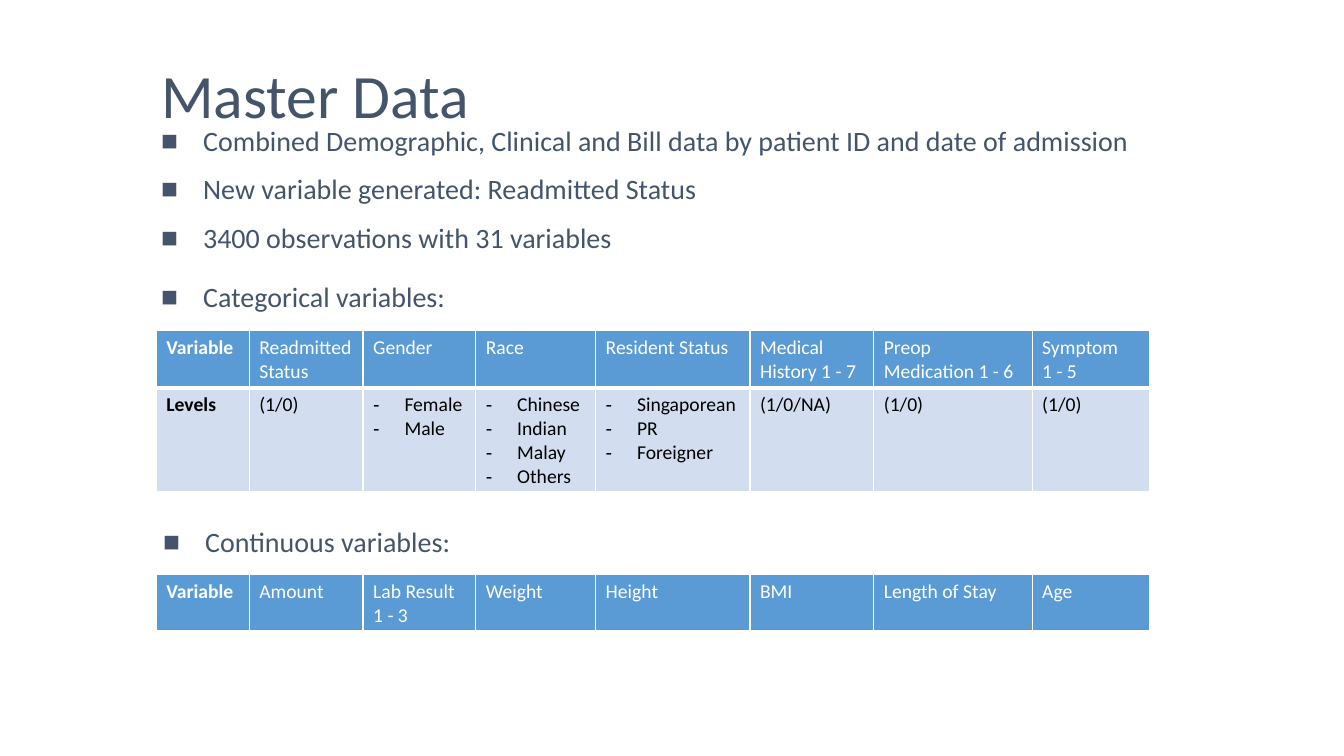
from lxml.etree import SubElement
from pptx import Presentation
from pptx.dml.color import RGBColor
from pptx.enum.text import MSO_ANCHOR, PP_ALIGN
from pptx.oxml import parse_xml
from pptx.oxml.ns import nsdecls, qn
from pptx.util import Cm, Pt

FONT = "Calibri"
SLATE = RGBColor(0x44, 0x54, 0x6A)
BLUE = RGBColor(0x5B, 0x9B, 0xD5)
PALE_BLUE = RGBColor(0xD2, 0xDE, 0xEF)
WHITE = RGBColor(0xFF, 0xFF, 0xFF)
BLACK = RGBColor(0x00, 0x00, 0x00)

COLUMN_WIDTHS = [2.34, 2.87, 2.84, 3.02, 3.89, 3.12, 3.99, 2.97]
HEADER_HEIGHT = 1.44
LEVELS_HEIGHT = 2.62

STATEMENTS = [
    "Combined Demographic, Clinical and Bill data by patient ID and date of admission",
    "New variable generated: Readmitted Status",
    "3400 observations with 31 variables",
    "Categorical variables:",
]
CATEGORICAL = [
    ["Variable", "Readmitted Status", "Gender", "Race", "Resident Status",
     "Medical History 1 - 7", "Preop Medication 1 - 6", "Symptom\n1 - 5"],
    ["Levels", "(1/0)", ["Female", "Male"], ["Chinese", "Indian", "Malay", "Others"],
     ["Singaporean", "PR", "Foreigner"], "(1/0/NA)", "(1/0)", "(1/0)"],
]
CONTINUOUS = [
    ["Variable", "Amount", "Lab Result 1 - 3", "Weight", "Height", "BMI",
     "Length of Stay", "Age"],
]


def format_font(paragraph, size, color, bold=False):
    for run in paragraph.runs:
        run.font.name = FONT
        run.font.size = Pt(size)
        run.font.color.rgb = color
        run.font.bold = bold


def add_bullet(paragraph, character, indent):
    properties = paragraph._p.get_or_add_pPr()
    properties.set("marL", str(Cm(indent)))
    properties.set("indent", str(-Cm(indent)))
    SubElement(properties, qn("a:buFont")).set("typeface", "Arial")
    SubElement(properties, qn("a:buChar")).set("char", character)


def add_title(slide, text, left, top, width, height):
    title = slide.shapes.title
    title.left, title.top = Cm(left), Cm(top)
    title.width, title.height = Cm(width), Cm(height)
    frame = title.text_frame
    frame.text = text
    frame.vertical_anchor = MSO_ANCHOR.MIDDLE
    paragraph = frame.paragraphs[0]
    paragraph.alignment = PP_ALIGN.LEFT
    paragraph.line_spacing = 0.89
    format_font(paragraph, 44, SLATE)


def add_bullet_list(slide, lines, left, top, width, height):
    box = slide.shapes.add_textbox(Cm(left), Cm(top), Cm(width), Cm(height))
    frame = box.text_frame
    frame.word_wrap = True
    frame.text = "\n".join(lines)
    for paragraph in frame.paragraphs:
        paragraph.line_spacing = 0.94
        paragraph.space_before = Pt(10)
        paragraph.space_after = Pt(2)
        add_bullet(paragraph, "■", 1.06)
        format_font(paragraph, 20, SLATE)
    return frame


def set_borders(cell, bottom_width):
    properties = cell._tc.get_or_add_tcPr()
    widths = {"lnL": 1, "lnR": 1, "lnT": 1, "lnB": bottom_width}
    for position, (side, width) in enumerate(widths.items()):
        line = parse_xml(
            f'<a:{side} {nsdecls("a")} w="{Pt(width)}"><a:solidFill>'
            f'<a:srgbClr val="{WHITE}"/></a:solidFill></a:{side}>')
        properties.insert(position, line)


def fill_cell(cell, content, is_header, is_label):
    is_list = isinstance(content, list)
    cell.text_frame.text = "\n".join(content) if is_list else content
    cell.fill.solid()
    cell.fill.fore_color.rgb = BLUE if is_header else PALE_BLUE
    set_borders(cell, 3 if is_header else 1)
    for paragraph in cell.text_frame.paragraphs:
        if is_list:
            add_bullet(paragraph, "-", 0.79)
        format_font(paragraph, 14, WHITE if is_header else BLACK, is_label)


def add_variable_table(slide, rows, left, top):
    heights = [HEADER_HEIGHT, LEVELS_HEIGHT][:len(rows)]
    table = slide.shapes.add_table(
        len(rows), len(COLUMN_WIDTHS), Cm(left), Cm(top),
        Cm(sum(COLUMN_WIDTHS)), Cm(sum(heights))).table
    for column, width in zip(table.columns, COLUMN_WIDTHS):
        column.width = Cm(width)
    for row_index, contents in enumerate(rows):
        table.rows[row_index].height = Cm(heights[row_index])
        for column_index, content in enumerate(contents):
            fill_cell(table.cell(row_index, column_index), content,
                      row_index == 0, column_index == 0)


def main():
    presentation = Presentation()
    presentation.slide_width = Cm(33.87)
    presentation.slide_height = Cm(19.05)
    slide = presentation.slides.add_slide(presentation.slide_layouts[5])

    # Title and statements
    add_title(slide, "Master Data", 3.81, 0.43, 26.67, 4.11)
    statements = add_bullet_list(slide, STATEMENTS, 3.81, 3.05, 26.67, 9.96)
    statements.paragraphs[-1].space_before = Pt(18)

    # Categorical variables
    add_variable_table(slide, CATEGORICAL, 3.94, 8.33)

    # Continuous variables
    add_bullet_list(slide, ["Continuous variables:"], 3.86, 13.16, 8.76, 2.06)
    add_variable_table(slide, CONTINUOUS, 3.94, 14.48)

    presentation.save("out.pptx")


if __name__ == "__main__":
    main()
